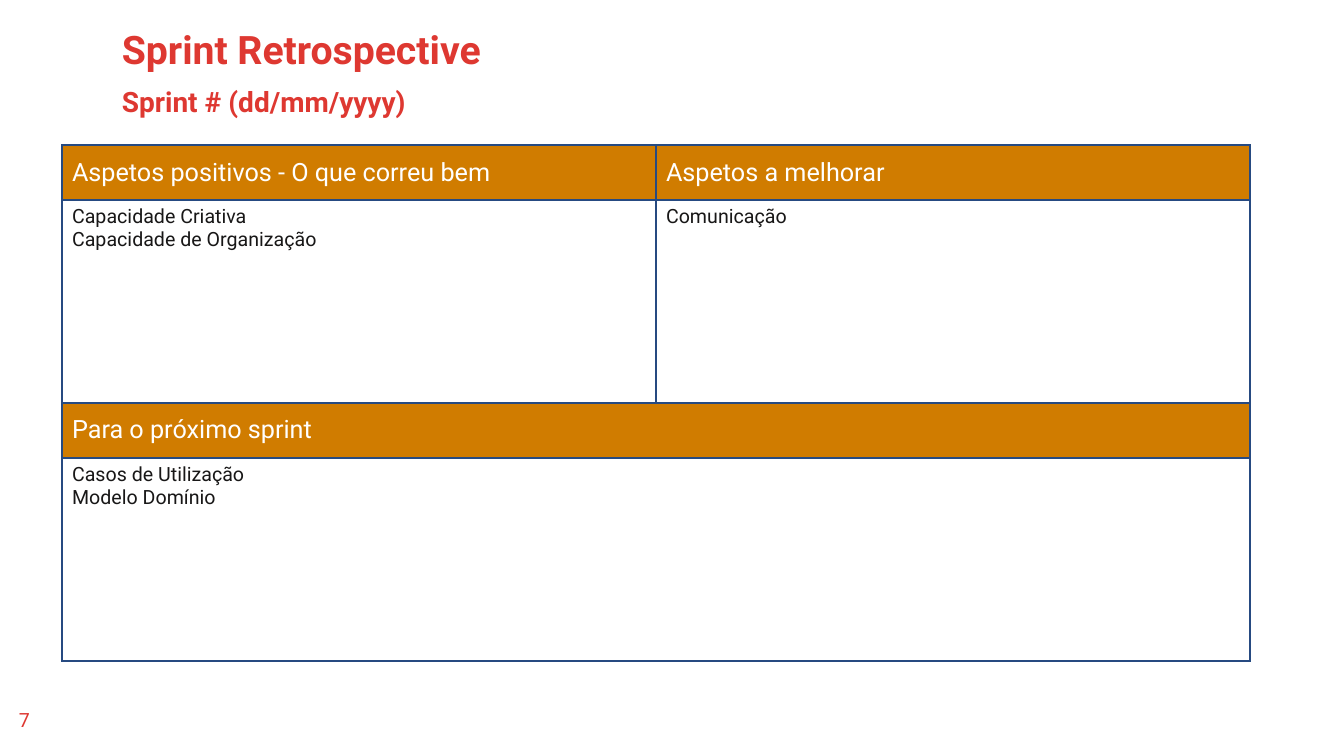
"""Build the sprint retrospective slide."""
from dataclasses import dataclass

from lxml import etree
from pptx import Presentation
from pptx.dml.color import RGBColor
from pptx.enum.text import MSO_ANCHOR, PP_ALIGN
from pptx.oxml.ns import qn
from pptx.util import Emu, Pt

LEFT, CENTER = PP_ALIGN.LEFT, PP_ALIGN.CENTER
TOP, MIDDLE = MSO_ANCHOR.TOP, MSO_ANCHOR.MIDDLE

FONT = "Roboto"
COLORS = {
    "red": "DE3831",
    "orange": "D07C00",
    "white": "FFFFFF",
    "ink": "181717",
    "border": "264A81",
}
SLIDE_WIDTH, SLIDE_HEIGHT = 1344, 756
EMU_PER_PX = 12192000 / SLIDE_WIDTH
BOARD_LEFT, BOARD_TOP, COLUMN_WIDTH = 62, 145, 594
HEADING_HEIGHT, NOTES_HEIGHT = 55, 203


@dataclass(frozen=True)
class Label:
    text: str
    left: int
    top: int
    width: int
    height: int
    size: int
    bold: bool = True
    align: int = LEFT
    line_spacing: float = 0.9


@dataclass(frozen=True)
class Section:
    heading: str
    notes: tuple[str, ...]
    band: int
    column: int
    span: int = 1


LABELS = [
    Label("Sprint Retrospective", 112, 26, 1049, 45, 28),
    Label("Sprint # (dd/mm/yyyy)", 112, 83, 1049, 42, 20),
    Label("7", 1, 703, 47, 40, 14, bold=False, align=CENTER, line_spacing=1.0),
]
SECTIONS = [
    Section("Aspetos positivos - O que correu bem",
            ("Capacidade Criativa", "Capacidade de Organização"), 0, 0),
    Section("Aspetos a melhorar", ("Comunicação",), 0, 1),
    Section("Para o próximo sprint",
            ("Casos de Utilização", "Modelo Domínio"), 1, 0, span=2),
]


def px(length: int) -> Emu:
    return Emu(round(length * EMU_PER_PX))


def rgb(color: str) -> RGBColor:
    return RGBColor.from_string(COLORS[color])


def write(frame, lines: tuple[str, ...], *, size: int, color: str,
          bold: bool = False, align: int = LEFT, line_spacing: float = 1.0) -> None:
    for index, line in enumerate(lines):
        paragraph = frame.add_paragraph() if index else frame.paragraphs[0]
        paragraph.alignment = align
        paragraph.line_spacing = line_spacing
        run = paragraph.add_run()
        run.text = line
        run.font.name = FONT
        run.font.size = Pt(size)
        run.font.bold = bold
        run.font.color.rgb = rgb(color)


def draw_label(slide, label: Label) -> None:
    box = slide.shapes.add_textbox(
        px(label.left), px(label.top), px(label.width), px(label.height))
    box.text_frame.word_wrap = True
    write(box.text_frame, (label.text,), size=label.size, color="red",
          bold=label.bold, align=label.align, line_spacing=label.line_spacing)


def style_cell(cell, fill: str) -> None:
    cell.fill.solid()
    cell.fill.fore_color.rgb = rgb(fill)
    properties = cell._tc.get_or_add_tcPr()
    for position, side in enumerate(("a:lnL", "a:lnR", "a:lnT", "a:lnB")):
        line = etree.Element(qn(side), w=str(Pt(1)))
        solid = etree.SubElement(line, qn("a:solidFill"))
        etree.SubElement(solid, qn("a:srgbClr"), val=COLORS["border"])
        properties.insert(position, line)


def draw_section(table, section: Section) -> None:
    row, last = section.band * 2, section.column + section.span - 1
    parts = [
        ((section.heading,), 18, "white", MIDDLE),
        (section.notes, 14, "ink", TOP),
    ]
    for offset, (lines, size, color, anchor) in enumerate(parts):
        cell = table.cell(row + offset, section.column)
        if section.span > 1:
            cell.merge(table.cell(row + offset, last))
        cell.vertical_anchor = anchor
        write(cell.text_frame, lines, size=size, color=color)


def draw_board(slide) -> None:
    heights = (HEADING_HEIGHT, NOTES_HEIGHT) * 2
    table = slide.shapes.add_table(
        len(heights), 2, px(BOARD_LEFT), px(BOARD_TOP),
        px(2 * COLUMN_WIDTH), px(sum(heights))).table
    for column in table.columns:
        column.width = px(COLUMN_WIDTH)
    for index, (row, height) in enumerate(zip(table.rows, heights)):
        row.height = px(height)
        for cell in row.cells:
            style_cell(cell, "white" if index % 2 else "orange")
    for section in SECTIONS:
        draw_section(table, section)


def main() -> None:
    deck = Presentation()
    deck.slide_width, deck.slide_height = px(SLIDE_WIDTH), px(SLIDE_HEIGHT)
    slide = deck.slides.add_slide(deck.slide_layouts[6])
    for label in LABELS:
        draw_label(slide, label)
    draw_board(slide)
    deck.save("out.pptx")


if __name__ == "__main__":
    main()
